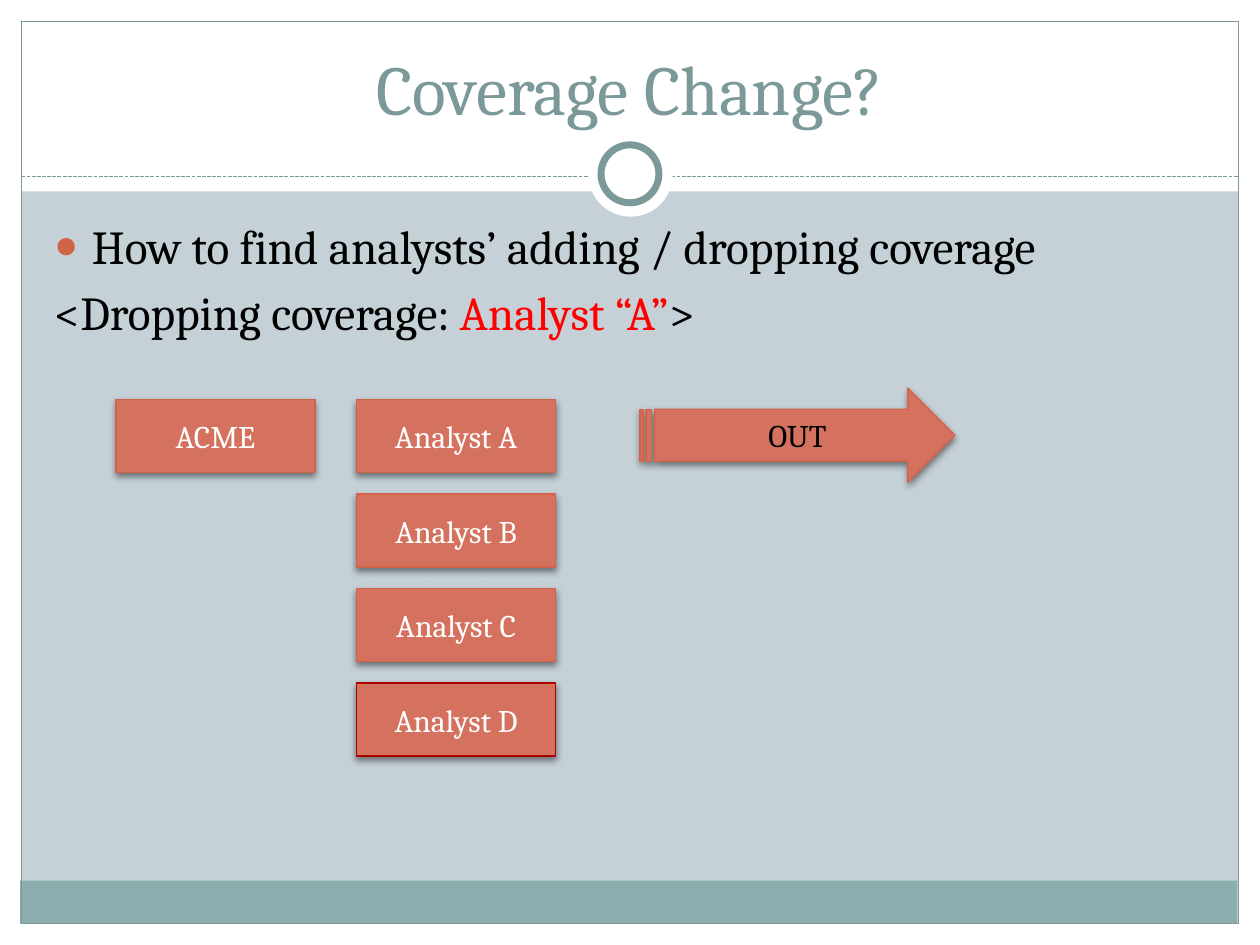
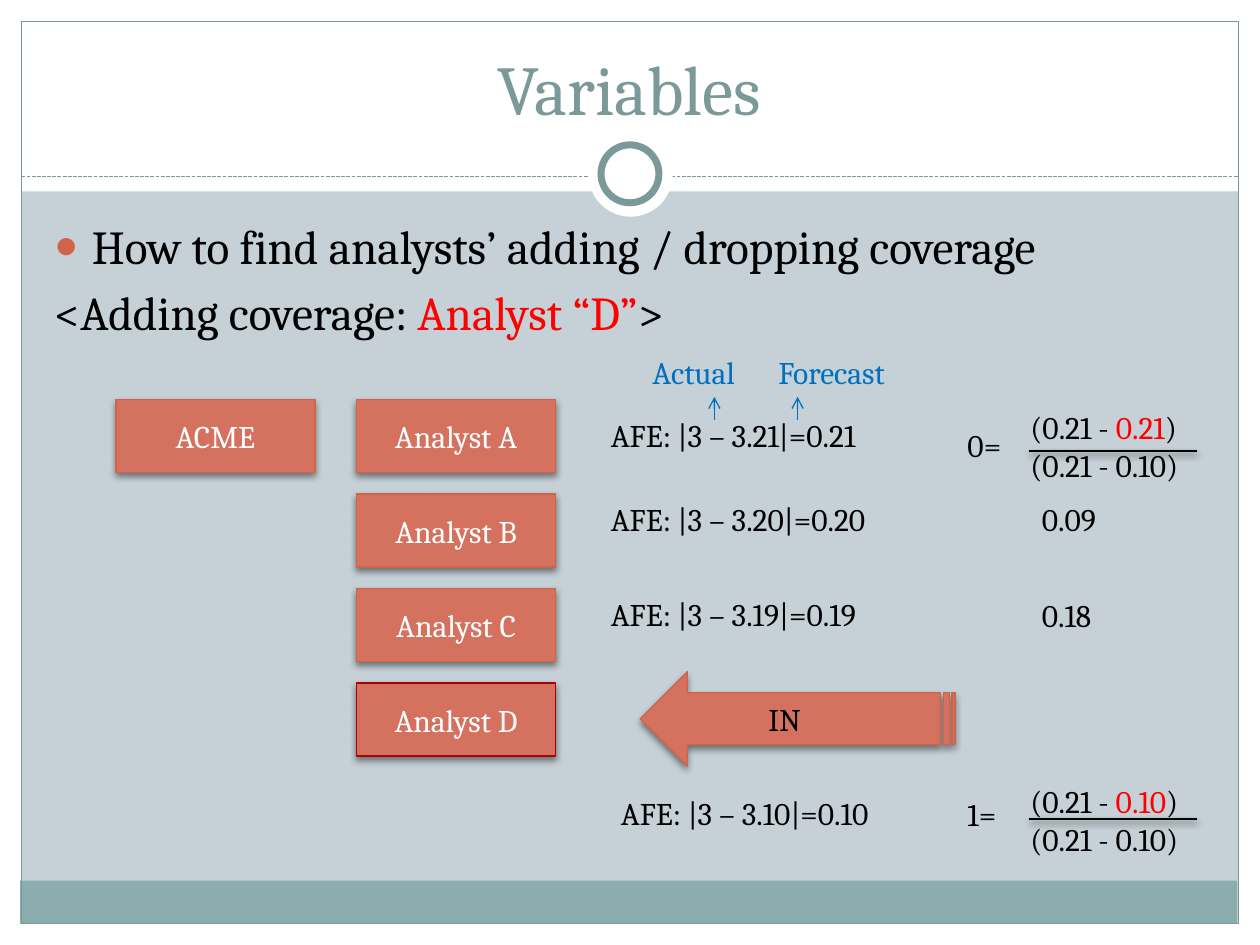
"""Build two slides on analysts dropping and adding coverage."""
from dataclasses import dataclass
from typing import Any, NamedTuple, Optional

from pptx import Presentation
from pptx.dml.color import RGBColor
from pptx.enum.dml import MSO_LINE_DASH_STYLE as Dash
from pptx.enum.shapes import MSO_CONNECTOR as Connector, MSO_SHAPE as Shape
from pptx.enum.text import MSO_ANCHOR as Anchor, MSO_AUTO_SIZE as AutoSize, PP_ALIGN as Align
from pptx.oxml import parse_xml
from pptx.oxml.ns import nsdecls, qn
from pptx.util import Inches, Pt

WHITE = RGBColor(0xFF, 0xFF, 0xFF)
BLACK = RGBColor(0x00, 0x00, 0x00)
RED = RGBColor(0xFF, 0x00, 0x00)
BLUE = RGBColor(0x00, 0x70, 0xC0)
BACKGROUND = RGBColor(0xC5, 0xD1, 0xD7)
TEAL = RGBColor(0x7C, 0x99, 0x9A)
FOOTER_TEAL = RGBColor(0x8C, 0xAD, 0xAE)
CORAL = RGBColor(0xD4, 0x72, 0x5F)
RUST = RGBColor(0xD1, 0x63, 0x49)
DARK_RED = RGBColor(0xAD, 0x01, 0x01)

FONT = "Cambria"
TITLE_FORMAT = {"name": FONT, "size": Pt(40)}
BODY_FORMAT = {"name": FONT, "size": Pt(27)}
LABEL_FORMAT = {"name": FONT, "size": Pt(18)}

COMPANY = "ACME"
ANALYSTS = ("Analyst A", "Analyst B", "Analyst C", "Analyst D")
ANALYST_LEFT, CARD_TOP, CARD_STEP = 2.83, 3.17, 0.75
CARD_WIDTH, CARD_HEIGHT = 1.58, 0.58
ARROW_LEFT, ARROW_WIDTH, ARROW_HEIGHT = 5.08, 2.5, 0.75


class Box(NamedTuple):
    left: float
    top: float
    width: float
    height: float

    def lengths(self) -> list:
        return [Inches(value) for value in self]


class Piece(NamedTuple):
    text: str
    color: RGBColor = BLACK


@dataclass(frozen=True)
class Block:
    box: Box
    fill: Optional[RGBColor] = None
    line: Optional[RGBColor] = None
    line_width: float = 0.75
    kind: Any = Shape.RECTANGLE
    shadow: bool = False
    text: str = ""
    rotation: float = 0


@dataclass(frozen=True)
class Label:
    left: float
    top: float
    width: float
    lines: tuple


@dataclass(frozen=True)
class Rule:
    start: tuple
    end: tuple
    color: RGBColor
    width: float = 0.75
    dash: Any = None
    shadow: bool = False
    arrow: bool = False


@dataclass(frozen=True)
class Coverage:
    title: str
    action: str
    analyst: str
    arrow_top: float
    arrow_rotation: float
    arrow_label: Label
    labels: tuple = ()
    rules: tuple = ()


def plain(left: float, top: float, width: float, text: str, color: RGBColor = BLACK) -> Label:
    return Label(left, top, width, ((Piece(text, color),),))


def fraction(top: float, width: float, error: str) -> Label:
    numerator = (Piece("(0.21 - "), Piece(error, RED), Piece(")"))
    return Label(8.08, top, width, (numerator, (Piece("(0.21 - 0.10)"),)))


FRAME = (
    Block(Box(0, 7.33, 10, 0.17), WHITE),
    Block(Box(0, 0, 10, 1.52), WHITE),
    Block(Box(0, 0, 0.17, 7.5), WHITE),
    Block(Box(9.83, 0, 0.17, 7.5), WHITE),
    Block(Box(0.16, 6.99, 9.66, 0.34), FOOTER_TEAL),
    Block(Box(0.17, 0.17, 9.66, 7.16), line=TEAL),
    Rule((0.17, 1.4), (9.83, 1.4), TEAL, dash=Dash.SQUARE_DOT),
    Block(Box(4.67, 1.05, 0.67, 0.67), WHITE, kind=Shape.OVAL),
    Block(Box(4.77, 1.15, 0.46, 0.46), WHITE, TEAL, 4, Shape.OVAL),
)

SLIDES = (
    Coverage("Coverage Change?", "Dropping", "A", 3.08, 0, plain(6, 3.25, 1, "OUT")),
    Coverage(
        "Variables", "Adding", "D", 5.33, 180, plain(6, 5.51, 1, "IN"),
        labels=(
            plain(4.75, 3.25, 3.75, "AFE: |3 – 3.21|=0.21"),
            plain(4.75, 3.92, 3.75, "AFE: |3 – 3.20|=0.20"),
            plain(4.75, 4.67, 3.75, "AFE: |3 – 3.19|=0.19"),
            plain(4.83, 6.25, 3.75, "AFE: |3 – 3.10|=0.10"),
            fraction(3.19, 1.58, "0.21"),
            fraction(6.16, 1.67, "0.10"),
            plain(8.17, 3.92, 0.83, "0.09"),
            plain(8.17, 4.68, 0.83, "0.18"),
            plain(7.58, 3.33, 0.58, "0="),
            plain(7.58, 6.26, 0.58, "1="),
            plain(5.08, 2.75, 1.33, "Actual", BLUE),
            plain(6.08, 2.75, 1.33, "Forecast", BLUE),
        ),
        rules=tuple(
            Rule((8.17, y), (9.5, y), BLACK, 1.57, shadow=True) for y in (3.58, 6.5)
        ) + tuple(
            Rule((x, 3.33), (x, 3.15), BLUE, arrow=True) for x in (5.67, 6.33)
        ),
    ),
)


def apply_format(target: Any, values: dict) -> None:
    for name, value in values.items():
        setattr(target, name, value)


def add_pieces(paragraph: Any, pieces: tuple, font_format: dict) -> None:
    for piece in pieces:
        run = paragraph.add_run()
        run.text = piece.text
        apply_format(run.font, font_format)
        run.font.color.rgb = piece.color


def set_effects(shape: Any, shadow: bool) -> None:
    properties = shape.element.find(qn("p:spPr"))
    effects = parse_xml(f"<a:effectLst {nsdecls('a')}/>")
    if shadow:
        effects.append(parse_xml(
            f'<a:outerShdw {nsdecls("a")} blurRad="{Pt(4)}" dist="{Pt(2)}" dir="5400000" '
            'rotWithShape="0"><a:srgbClr val="000000"><a:alpha val="45000"/></a:srgbClr>'
            "</a:outerShdw>"))
    properties.append(effects)


def draw_block(slide: Any, block: Block) -> Any:
    shape = slide.shapes.add_shape(block.kind, *block.box.lengths())
    shape.rotation = block.rotation
    if block.fill is None:
        shape.fill.background()
    else:
        shape.fill.solid()
        shape.fill.fore_color.rgb = block.fill
    if block.line is None:
        shape.line.fill.background()
    else:
        shape.line.color.rgb = block.line
        shape.line.width = Pt(block.line_width)
    set_effects(shape, block.shadow)
    if block.text:
        shape.text_frame.vertical_anchor = Anchor.MIDDLE
        paragraph = shape.text_frame.paragraphs[0]
        paragraph.alignment = Align.CENTER
        add_pieces(paragraph, (Piece(block.text, WHITE),), LABEL_FORMAT)
    return shape


def draw_rule(slide: Any, rule: Rule) -> Any:
    points = [Inches(value) for value in rule.start + rule.end]
    connector = slide.shapes.add_connector(Connector.STRAIGHT, *points)
    connector.line.color.rgb = rule.color
    connector.line.width = Pt(rule.width)
    if rule.dash is not None:
        connector.line.dash_style = rule.dash
    if rule.arrow:
        outline = connector.element.find(qn("p:spPr")).find(qn("a:ln"))
        outline.append(parse_xml(f'<a:tailEnd {nsdecls("a")} type="arrow"/>'))
    set_effects(connector, rule.shadow)
    return connector


def draw_label(slide: Any, label: Label) -> None:
    box = Box(label.left, label.top, label.width, 0.1 + 0.3 * len(label.lines))
    frame = slide.shapes.add_textbox(*box.lengths()).text_frame
    apply_format(frame, {"word_wrap": True, "auto_size": AutoSize.SHAPE_TO_FIT_TEXT})
    for index, pieces in enumerate(label.lines):
        paragraph = frame.add_paragraph() if index else frame.paragraphs[0]
        add_pieces(paragraph, pieces, LABEL_FORMAT)


def place_frame_on_master(presentation: Any, slide: Any) -> None:
    master = presentation.slide_master
    master.background.fill.solid()
    master.background.fill.fore_color.rgb = BACKGROUND
    for index, part in enumerate(FRAME):
        draw = draw_rule if isinstance(part, Rule) else draw_block
        element = draw(slide, part).element
        element.xpath("./*/p:cNvPr")[0].set("id", str(100 + index))
        master.shapes.element.insert(2 + index, element)


def set_bullet(paragraph: Any, indent: float, bullet: bool) -> None:
    properties = paragraph._p.get_or_add_pPr()
    properties.set("marL", str(Inches(indent)))
    properties.set("indent", str(-Inches(indent)))
    marks = (
        f'<a:buClr {nsdecls("a")}><a:srgbClr val="{RUST}"/></a:buClr>',
        f'<a:buSzPct {nsdecls("a")} val="85000"/>',
        f'<a:buChar {nsdecls("a")} char="●"/>',
    ) if bullet else (f'<a:buNone {nsdecls("a")}/>',)
    for mark in marks:
        properties.append(parse_xml(mark))


def fill_placeholders(slide: Any, coverage: Coverage) -> None:
    title, body = slide.placeholders
    for placeholder, box, anchor in (
        (title, Box(0.33, 0.25, 9.33, 0.83), Anchor.BOTTOM),
        (body, Box(0.33, 1.67, 9.3, 5), Anchor.TOP),
    ):
        places = zip(("left", "top", "width", "height"), box.lengths())
        apply_format(placeholder, dict(places))
        apply_format(placeholder.text_frame, {
            "vertical_anchor": anchor, "auto_size": AutoSize.NONE, "word_wrap": True})
    heading = title.text_frame.paragraphs[0]
    heading.alignment = Align.CENTER
    add_pieces(heading, (Piece(coverage.title, TEAL),), TITLE_FORMAT)
    question = body.text_frame.paragraphs[0]
    set_bullet(question, 0.3, True)
    add_pieces(question, (Piece("How to find analysts’ adding / dropping coverage"),), BODY_FORMAT)
    case = body.text_frame.add_paragraph()
    set_bullet(case, 0, False)
    add_pieces(case, (
        Piece(f"<{coverage.action} coverage: "),
        Piece(f"Analyst “{coverage.analyst}”", RED),
        Piece(">"),
    ), BODY_FORMAT)


def draw_card(slide: Any, left: float, row: int, text: str, line: RGBColor = RUST) -> None:
    box = Box(left, CARD_TOP + row * CARD_STEP, CARD_WIDTH, CARD_HEIGHT)
    draw_block(slide, Block(box, CORAL, line, shadow=True, text=text))


def draw_coverage(slide: Any, coverage: Coverage) -> None:
    fill_placeholders(slide, coverage)
    draw_card(slide, 0.92, 0, COMPANY)
    for row, analyst in enumerate(ANALYSTS):
        draw_card(slide, ANALYST_LEFT, row, analyst, DARK_RED if analyst == ANALYSTS[-1] else RUST)
    arrow_box = Box(ARROW_LEFT, coverage.arrow_top, ARROW_WIDTH, ARROW_HEIGHT)
    arrow = draw_block(slide, Block(
        arrow_box, CORAL, RUST, kind=Shape.STRIPED_RIGHT_ARROW, shadow=True,
        rotation=coverage.arrow_rotation))
    arrow.adjustments[0] = 0.55
    arrow.adjustments[1] = 0.5
    for label in (coverage.arrow_label, *coverage.labels):
        draw_label(slide, label)
    for rule in coverage.rules:
        draw_rule(slide, rule)


def main() -> None:
    presentation = Presentation()
    presentation.slide_width, presentation.slide_height = Inches(10), Inches(7.5)
    layout = presentation.slide_layouts.get_by_name("Title and Content")
    slides = [presentation.slides.add_slide(layout) for _ in SLIDES]
    place_frame_on_master(presentation, slides[0])
    for slide, coverage in zip(slides, SLIDES):
        draw_coverage(slide, coverage)
    presentation.save("out.pptx")


if __name__ == "__main__":
    main()
